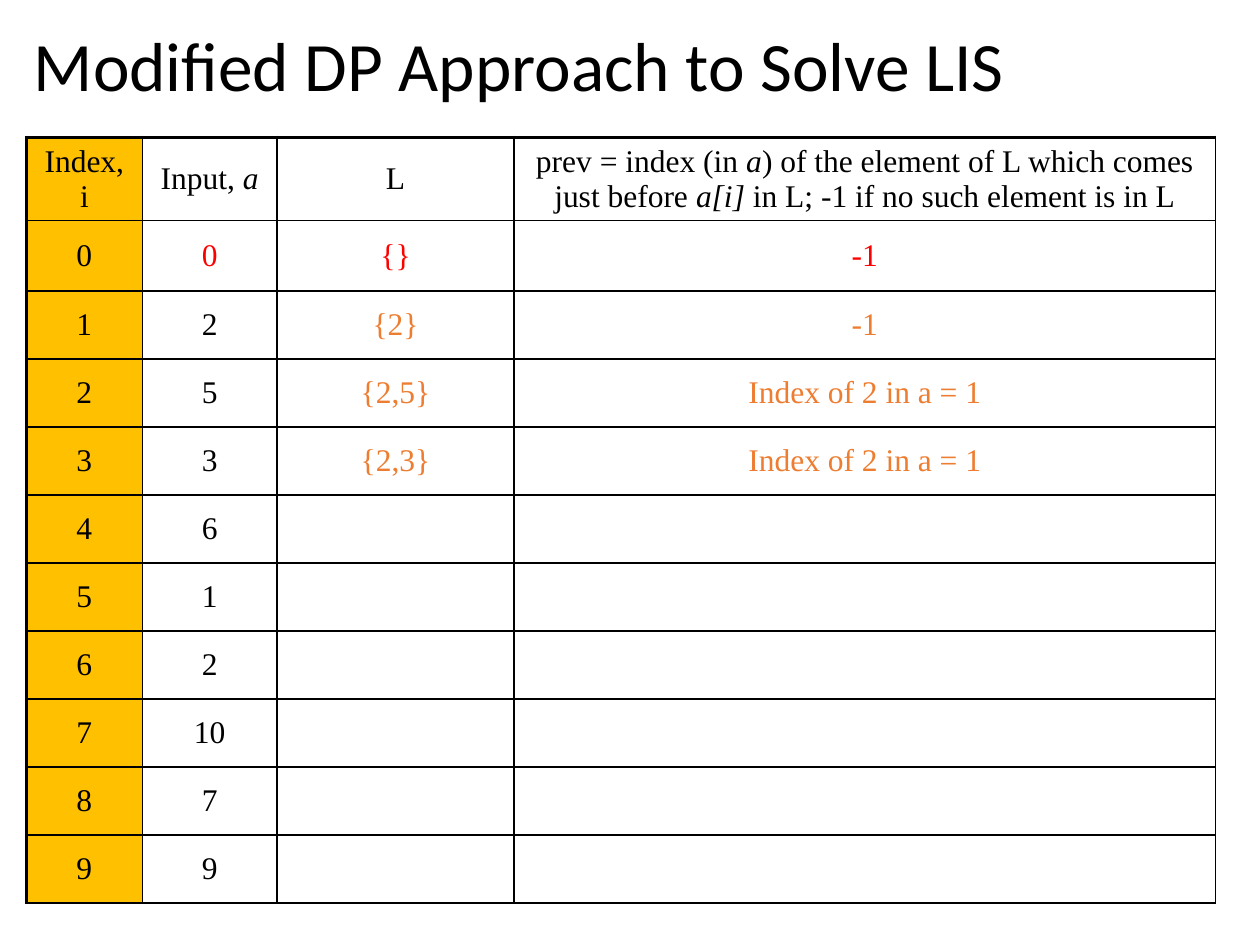
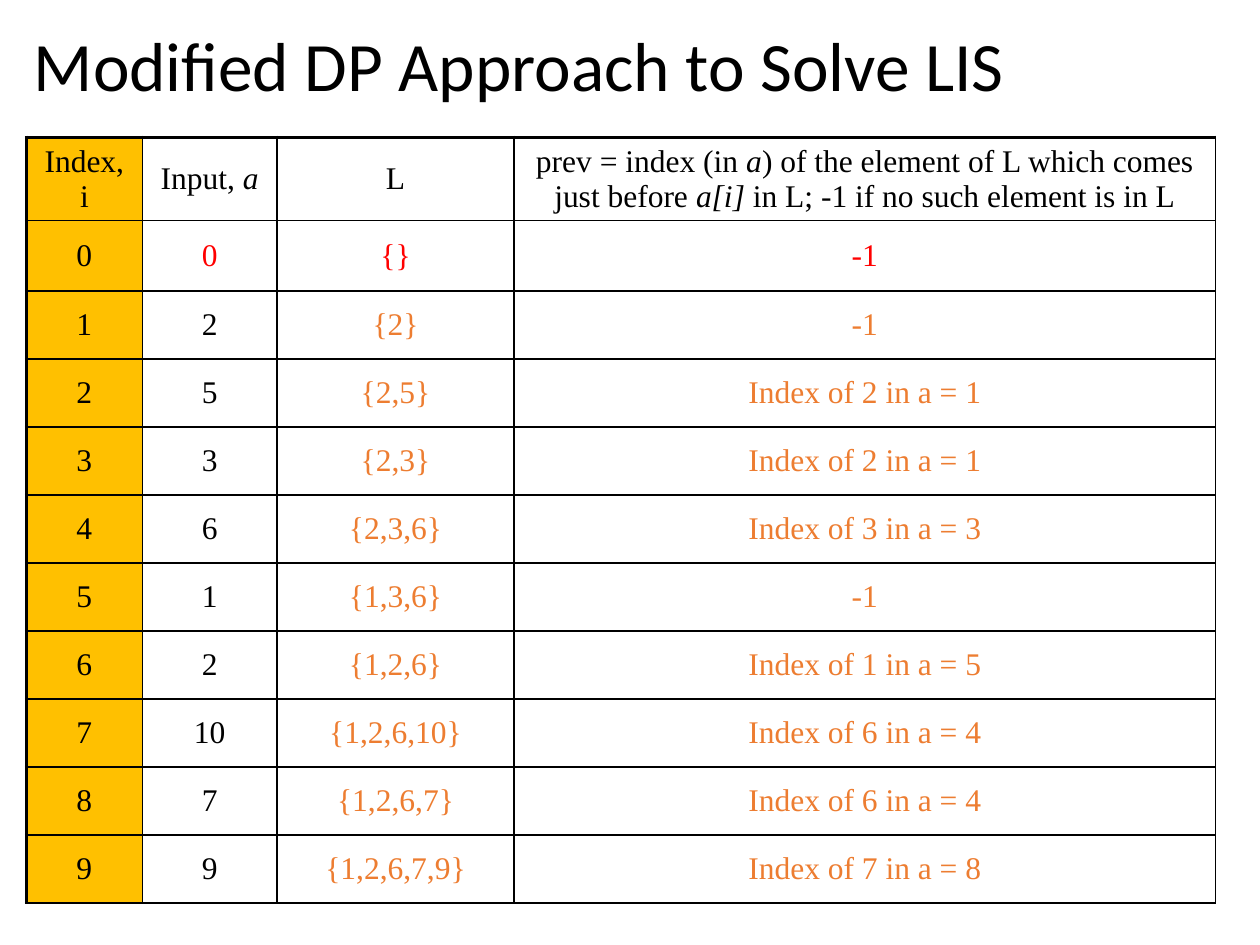
from lxml.etree import SubElement
from pptx import Presentation
from pptx.dml.color import RGBColor
from pptx.enum.text import MSO_ANCHOR as ANCHOR, PP_ALIGN as ALIGN
from pptx.oxml.ns import qn
from pptx.util import Inches, Pt

BLACK, RED, ORANGE, GOLD = "000000", "FF0000", "ED7D31", "FFC000"
TITLE_FONT, TABLE_FONT = "Calibri", "Times New Roman"
TITLE = "Modified DP Approach to Solve LIS"
THIN, THICK = 1, 2.25
COL_WIDTHS = [0.92, 1.07, 1.88, 5.57]
ROW_HEIGHTS = [0.47, 0.56] + [0.54] * 9

# Asterisks switch italics on and off.
HEADERS = [
    "Index, i",
    "Input, *a*",
    "L",
    "prev = index (in *a*) of the element of L which comes "
    "just before *a[i]* in L; -1 if no such element is in L",
]
# One step per index: input value, L, prev
STEPS = [
    ("0", "{}", "-1"),
    ("2", "{2}", "-1"),
    ("5", "{2,5}", "Index of 2 in a = 1"),
    ("3", "{2,3}", "Index of 2 in a = 1"),
    ("6", "{2,3,6}", "Index of 3 in a = 3"),
    ("1", "{1,3,6}", "-1"),
    ("2", "{1,2,6}", "Index of 1 in a = 5"),
    ("10", "{1,2,6,10}", "Index of 6 in a = 4"),
    ("7", "{1,2,6,7}", "Index of 6 in a = 4"),
    ("9", "{1,2,6,7,9}", "Index of 7 in a = 8"),
]


def rgb(color):
    """Turn a hex string into a colour."""
    return RGBColor.from_string(color)


def write(tf, text, font=TABLE_FONT, size=18, color=BLACK,
          align=ALIGN.CENTER, spacing=None):
    """Fill a text frame with one paragraph; *...* marks italics."""
    p = tf.paragraphs[0]
    p.alignment = align
    p.line_spacing = spacing
    p.font.size = Pt(size)
    for i, part in enumerate(text.split("*")):
        if part:
            r = p.add_run()
            r.text = part
            r.font.name = font
            r.font.size = Pt(size)
            r.font.color.rgb = rgb(color)
            r.font.italic = i % 2 == 1


def add_title(s):
    """Add the slide title."""
    sp = s.shapes.add_textbox(Inches(0.17), Inches(0.18), Inches(9.62), Inches(0.74))
    tf = sp.text_frame
    tf.word_wrap = True
    tf.vertical_anchor = ANCHOR.MIDDLE
    write(tf, TITLE, font=TITLE_FONT, size=39.6, align=ALIGN.LEFT, spacing=0.9)


def set_borders(cell, left, top):
    """Draw the four black edges of a cell, widths in points."""
    tc_pr = cell._tc.get_or_add_tcPr()
    widths = {"a:lnL": left, "a:lnR": THIN, "a:lnT": top, "a:lnB": THIN}
    for tag, width in widths.items():
        ln = SubElement(tc_pr, qn(tag), w=str(Pt(width)))
        fill = SubElement(ln, qn("a:solidFill"))
        SubElement(fill, qn("a:srgbClr"), val=BLACK)


def format_cell(cell, row, col):
    """Set margins, borders and fill by the cell's place in the table."""
    cell.vertical_anchor = ANCHOR.MIDDLE
    cell.margin_top = cell.margin_bottom = Inches(0.03)
    set_borders(cell, THIN if col else THICK, THIN if row else THICK)
    if col == 0:
        cell.fill.solid()
        cell.fill.fore_color.rgb = rgb(GOLD)
    else:
        cell.fill.background()


def text_color(row, col):
    """Red for the starting step, orange for later results, else black."""
    if row == 1 and col > 0:
        return RED
    return ORANGE if row > 1 and col > 1 else BLACK


def add_steps_table(s, solved):
    """Add the table, with L and prev shown for the first solved steps."""
    rows = [HEADERS]
    for i, (value, sequence, prev) in enumerate(STEPS):
        results = [sequence, prev] if i < solved else ["", ""]
        rows.append([str(i), value] + results)

    table = s.shapes.add_table(len(rows), len(HEADERS), Inches(0.21), Inches(1.09),
                               Inches(9.44), Inches(6.15)).table
    table.first_row = table.horz_banding = False
    for column, width in zip(table.columns, COL_WIDTHS):
        column.width = Inches(width)
    for row, height in zip(table.rows, ROW_HEIGHTS):
        row.height = Inches(height)
    for r, texts in enumerate(rows):
        for c, text in enumerate(texts):
            cell = table.cell(r, c)
            format_cell(cell, r, c)
            write(cell.text_frame, text, color=text_color(r, c))


def main():
    """Build the two slides and save them."""
    prs = Presentation()
    prs.slide_width, prs.slide_height = Inches(10), Inches(7.5)
    for solved in (4, len(STEPS)):
        s = prs.slides.add_slide(prs.slide_layouts[6])
        add_title(s)
        add_steps_table(s, solved)
    prs.save("out.pptx")


main()
